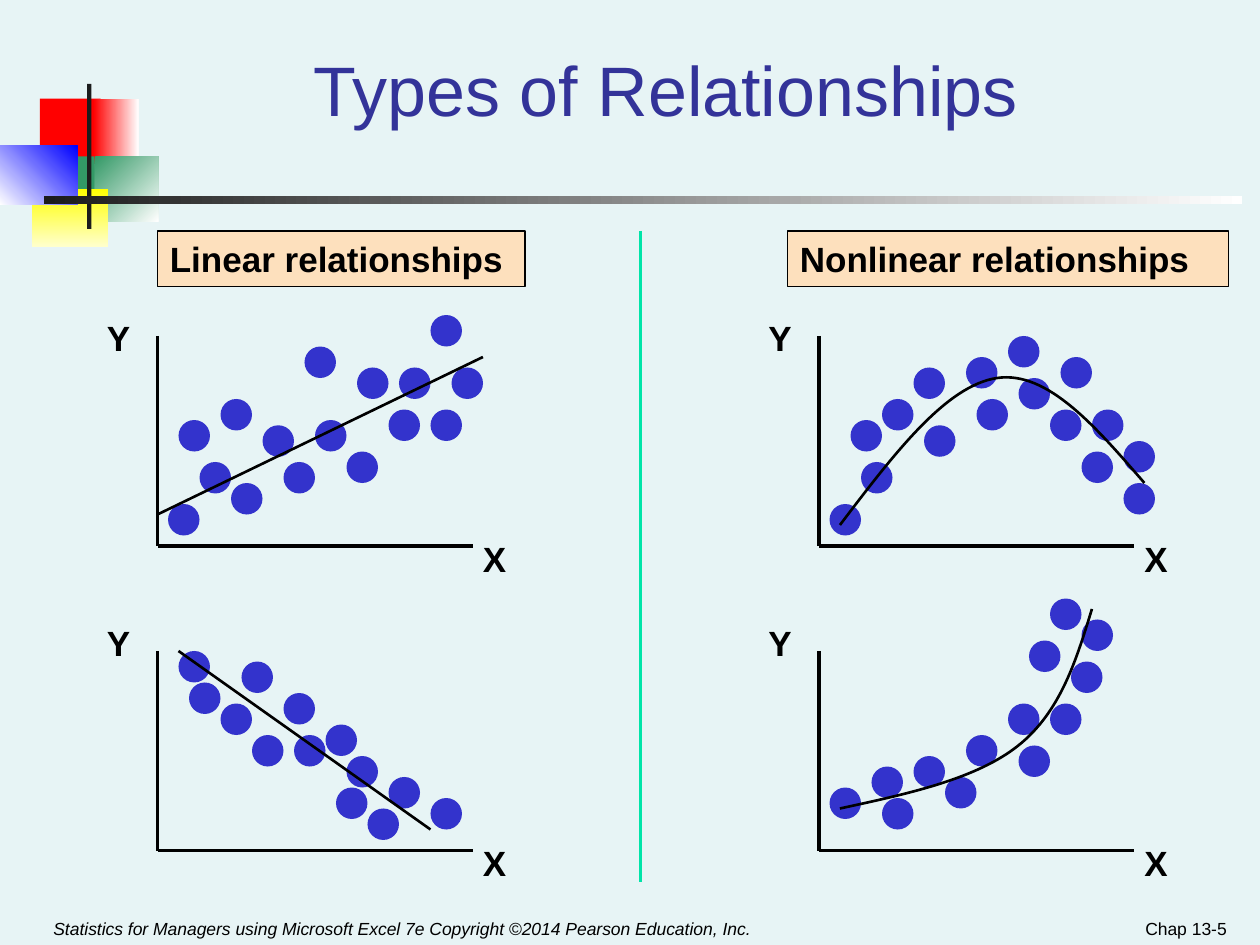
from lxml import etree
from pptx import Presentation
from pptx import util as u
from pptx.dml import color
from pptx.enum import shapes, text
from pptx.oxml import ns

PX = u.Inches(1) // 120
DOT = 30
HEX = {
    "back": "E7F4F5", "ink": "000000", "title": "333399", "dot": "3333CC",
    "label": "FDE0BD", "split": "00E4A8", "red": "FF0000", "green": "339966",
    "yellow": "FFFF00", "cream": "FFFFCC", "blue": "0000FF",
    "white": "FFFFFF", "dark": "1C1C1C",
}
BOLD = {"size": u.Pt(20), "bold": True}
SMALL = {"size": u.Pt(10)}
BASE = text.MSO_ANCHOR.BOTTOM

DECOR = [
    ((38, 94, 58, 62), "red", None, 0),
    ((89, 94, 43, 62), "red", "white", 0),
    ((90, 149, 61, 62), "green", "white", 45),
    ((52, 149, 38, 62), "green", None, 0),
    ((30, 180, 73, 55), "yellow", "cream", 90),
    ((0, 139, 74, 56), "white", "blue", 315),
    ((83, 80, 4, 138), "dark", None, 0),
    ((42, 187, 1141, 7), "dark", "white", 0),
]

PLOTS = [
    {"box": (150, 320, 300, 200), "trend": [(0, 170), (310, 20)], "dots": [
        (10, 160), (40, 120), (260, -20), (280, 30), (70, 140), (230, 30),
        (180, 110), (190, 30), (140, 10), (20, 80), (60, 60), (100, 85),
        (220, 70), (150, 80), (120, 120), (260, 70)]},
    {"box": (150, 620, 300, 190), "trend": [(20, 0), (260, 170)], "dots": [
        (200, 150), (30, 30), (260, 140), (80, 10), (180, 100), (220, 120),
        (120, 40), (20, 0), (60, 50), (90, 80), (170, 130), (160, 70),
        (130, 80)]},
    {"box": (780, 320, 300, 200), "trend": [
        (20, 180), (71, 113), (121, 47), (170, 40),
        (218, 33), (264, 87), (310, 140)], "dots": [
        (10, 160), (40, 120), (290, 100), (230, 20), (90, 30), (290, 140),
        (250, 110), (190, 40), (140, 20), (30, 80), (60, 60), (100, 85),
        (220, 70), (150, 60), (180, 0), (260, 70)]},
    {"box": (780, 620, 300, 190), "trend": [
        (20, 150), (85, 136), (150, 122), (190, 90),
        (230, 58), (245, 9), (260, -40)], "dots": [
        (10, 130), (50, 110), (250, -30), (240, 10), (60, 140), (200, -10),
        (190, 90), (180, 50), (220, -50), (90, 100), (220, 50), (140, 80),
        (120, 120)]},
]


def rgb(name):
    """Return the named colour."""
    return color.RGBColor.from_string(HEX[name])


def scale(box):
    """Turn px lengths into EMU."""
    return [n * PX for n in box]


def block(slide, box, first, last=None, turn=0, kind=shapes.MSO_SHAPE.RECTANGLE):
    """Add a shape with a plain or two-colour fill and no line."""
    shape = slide.shapes.add_shape(kind, *scale(box))
    shape.shadow.inherit = False
    shape.line.fill.background()
    if last:
        shape.fill.gradient()
        shape.fill.gradient_angle = -turn % 360
        for stop, name in zip(shape.fill.gradient_stops, (first, last)):
            stop.color.rgb = rgb(name)
    else:
        shape.fill.solid()
        shape.fill.fore_color.rgb = rgb(first)
    return shape


def write(shape, words, font, hue="ink", align=text.PP_ALIGN.LEFT, **frame):
    """Put one line of formatted text into a shape."""
    body = shape.text_frame
    for key, value in {"word_wrap": True, **frame}.items():
        setattr(body, key, value)
    para = body.paragraphs[0]
    para.alignment = align
    run = para.add_run()
    run.text = words
    for key, value in {"name": "Arial", **font}.items():
        setattr(run.font, key, value)
    run.font.color.rgb = rgb(hue)


def note(slide, box, *args, **frame):
    """Add a text box with one line of text."""
    write(slide.shapes.add_textbox(*scale(box)), *args, **frame)


def line(slide, start, end, width, hue="ink"):
    """Draw a straight line between two points."""
    wire = slide.shapes.add_connector(
        shapes.MSO_CONNECTOR.STRAIGHT, *scale((*start, *end)))
    wire.line.width = u.Pt(width)
    wire.line.color.rgb = rgb(hue)
    etree.SubElement(wire.line._get_or_add_ln().getparent(), ns.qn("a:effectLst"))


def curve(slide, points, width):
    """Draw a smooth line through cubic control points."""
    pen = slide.shapes.build_freeform(*points[0], scale=PX)
    pen.add_line_segments(points[1:], close=False)
    shape = pen.convert_to_shape()
    shape.shadow.inherit = False
    shape.fill.background()
    shape.line.width = u.Pt(width)
    shape.line.color.rgb = rgb("ink")
    steps = list(shape._element.iter(ns.qn("a:lnTo")))
    for i in range(0, len(steps), 3):
        bend = etree.Element(ns.qn("a:cubicBezTo"))
        steps[i].addprevious(bend)
        for step in steps[i:i + 3]:
            bend.append(step[0])
            step.getparent().remove(step)


def plot(slide, box, dots, trend):
    """Draw a scatter sketch with axes, dots and a trend."""
    x, y, wide, high = box
    base = y + high
    line(slide, (x, y), (x, base), 2)
    line(slide, (x, base), (x + wide, base), 2)
    for dx, dy in dots:
        block(slide, (x + dx, y + dy, DOT, DOT), "dot", kind=shapes.MSO_SHAPE.OVAL)
    for word, dx, dy in (("Y", -60, -224), ("X", wide - 2, -14)):
        note(slide, (x + dx, base + dy, 46, 53), word, BOLD, word_wrap=False)
    points = [(x + dx, y + dy) for dx, dy in trend]
    if len(points) == 2:
        line(slide, *points, 1.5)
    else:
        curve(slide, points, 1.5)


def label(slide, box, words):
    """Add a framed column heading."""
    shape = block(slide, box, "label")
    shape.line.width = u.Pt(1)
    shape.line.color.rgb = rgb("ink")
    write(shape, words, BOLD, vertical_anchor=text.MSO_ANCHOR.TOP)


def frame(slide):
    """Add the background, corner blocks, title and footer."""
    fill = slide.background.fill
    fill.solid()
    fill.fore_color.rgb = rgb("back")
    for box, first, last, turn in DECOR:
        block(slide, box, first, last, turn)
    note(slide, (150, 0, 968, 130), "Types of Relationships", {"size": u.Pt(40)},
         "title", text.PP_ALIGN.CENTER, vertical_anchor=BASE)
    note(slide, (39, 850, 700, 50),
         "Statistics for Managers using Microsoft Excel 7e "
         "Copyright ©2014 Pearson Education, Inc.",
         {**SMALL, "italic": True}, vertical_anchor=BASE)
    note(slide, (900, 858, 280, 42), "Chap 13-5", SMALL, "ink",
         text.PP_ALIGN.RIGHT, vertical_anchor=BASE)


def main():
    """Build and save the slide."""
    deck = Presentation()
    deck.slide_width, deck.slide_height = scale((1200, 900))
    slide = deck.slides.add_slide(deck.slide_layouts[6])
    frame(slide)
    for parts in PLOTS:
        plot(slide, **parts)
    label(slide, (150, 220, 350, 53), "Linear relationships")
    label(slide, (750, 220, 420, 53), "Nonlinear relationships")
    line(slide, (610, 220), (610, 840), 2.25, "split")
    deck.save("out.pptx")


if __name__ == "__main__":
    main()
